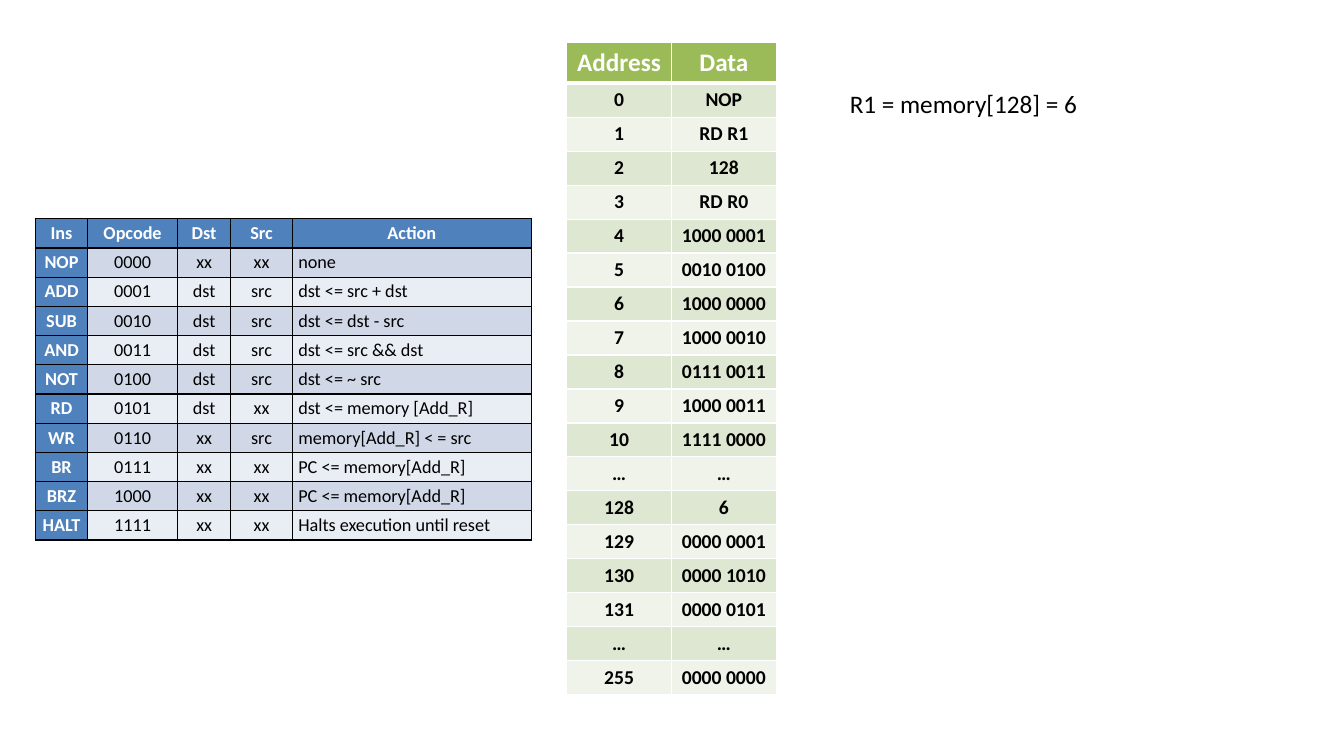
"""Build a slide with a processor's instruction set, memory contents and a register read."""
from dataclasses import dataclass

from lxml.etree import SubElement
from pptx import Presentation
from pptx.dml.color import RGBColor
from pptx.enum.text import MSO_ANCHOR as Anchor, PP_ALIGN as Align
from pptx.oxml.ns import qn
from pptx.slide import Slide
from pptx.table import _Cell as Cell
from pptx.text.text import TextFrame
from pptx.util import Inches, Pt

FONT = "Calibri"
WHITE = RGBColor(0xFF, 0xFF, 0xFF)
BLACK = RGBColor(0x00, 0x00, 0x00)
GREEN = RGBColor(0x9B, 0xBB, 0x59)
GREEN_BAND = RGBColor(0xDE, 0xE7, 0xD1)
GREEN_PALE = RGBColor(0xEF, 0xF3, 0xEA)
BLUE = RGBColor(0x4F, 0x81, 0xBD)
BLUE_BAND = RGBColor(0xD0, 0xD8, 0xE8)
BLUE_PALE = RGBColor(0xE9, 0xED, 0xF4)

MEMORY_ROWS = [
    ("Address", "Data"),
    ("0", "NOP"),
    ("1", "RD R1"),
    ("2", "128"),
    ("3", "RD R0"),
    ("4", "1000 0001"),
    ("5", "0010 0100"),
    ("6", "1000 0000"),
    ("7", "1000 0010"),
    ("8", "0111 0011"),
    ("9", "1000 0011"),
    ("10", "1111 0000"),
    ("…", "…"),
    ("128", "6"),
    ("129", "0000 0001"),
    ("130", "0000 1010"),
    ("131", "0000 0101"),
    ("…", "…"),
    ("255", "0000 0000"),
]
INSTRUCTION_ROWS = [
    ("Ins", "Opcode", "Dst", "Src", "Action"),
    ("NOP", "0000", "xx", "xx", "none"),
    ("ADD", "0001", "dst", "src", "dst <= src + dst"),
    ("SUB", "0010", "dst", "src", "dst <= dst - src"),
    ("AND", "0011", "dst", "src", "dst <= src && dst"),
    ("NOT", "0100", "dst", "src", "dst <= ~ src"),
    ("RD", "0101", "dst", "xx", "dst <= memory [Add_R]"),
    ("WR", "0110", "xx", "src", "memory[Add_R] < = src"),
    ("BR", "0111", "xx", "xx", "PC <= memory[Add_R]"),
    ("BRZ", "1000", "xx", "xx", "PC <= memory[Add_R]"),
    ("HALT", "1111", "xx", "xx", "Halts execution until reset"),
]


@dataclass(frozen=True)
class Grid:
    rows: list[tuple[str, ...]]
    left: float
    top: float
    height: float
    widths: tuple[float, ...]
    row_height: float
    header_fill: RGBColor
    bands: tuple[RGBColor, RGBColor]
    border: RGBColor
    header_size: float
    body_size: float
    header_rule: float = 1
    body_bold: bool = False
    header_column: bool = False
    left_column: int | None = None
    compact: bool = False


MEMORY = Grid(
    MEMORY_ROWS, 5.62, 0.42, 6.4, (1.04, 1.04), 0.26, GREEN, (GREEN_BAND, GREEN_PALE),
    WHITE, header_size=18, body_size=14, header_rule=3, body_bold=True,
)
INSTRUCTIONS = Grid(
    INSTRUCTION_ROWS, 0.35, 2.17, 3.17, (0.52, 0.89, 0.53, 0.61, 2.37), 0.29, BLUE,
    (BLUE_BAND, BLUE_PALE), BLACK, header_size=13, body_size=13,
    header_column=True, left_column=4, compact=True,
)


def write(frame: TextFrame, text: str, *, size: float, color: RGBColor = BLACK,
          bold: bool = False, align: Align = Align.LEFT) -> None:
    paragraph = frame.paragraphs[0]
    paragraph.alignment = align
    run = paragraph.add_run()
    run.text = text
    run.font.name = FONT
    run.font.size = Pt(size)
    run.font.bold = bold
    run.font.color.rgb = color


def draw_borders(cell: Cell, color: RGBColor, top: float, bottom: float) -> None:
    properties = cell._tc.get_or_add_tcPr()
    for side, width in (("L", 1), ("R", 1), ("T", top), ("B", bottom)):
        line = SubElement(properties, qn(f"a:ln{side}"), w=str(Pt(width)))
        SubElement(SubElement(line, qn("a:solidFill")), qn("a:srgbClr"), val=str(color))


def draw_grid(slide: Slide, grid: Grid) -> None:
    frame = slide.shapes.add_table(
        len(grid.rows), len(grid.widths), Inches(grid.left), Inches(grid.top),
        Inches(sum(grid.widths)), Inches(grid.height))
    table = frame.table
    for column, width in zip(table.columns, grid.widths):
        column.width = Inches(width)
    for row_index, values in enumerate(grid.rows):
        table.rows[row_index].height = Inches(grid.row_height)
        for column_index, value in enumerate(values):
            cell = table.cell(row_index, column_index)
            is_top = row_index == 0
            is_header = is_top or (grid.header_column and column_index == 0)
            draw_borders(cell, grid.border,
                         top=grid.header_rule if row_index == 1 else 1,
                         bottom=grid.header_rule if is_top else 1)
            cell.fill.solid()
            cell.fill.fore_color.rgb = (
                grid.header_fill if is_header else grid.bands[(row_index - 1) % 2])
            if grid.compact:
                cell.vertical_anchor = Anchor.MIDDLE
                cell.margin_left = cell.margin_right = Inches(0.06)
                cell.margin_top = cell.margin_bottom = Inches(0)
            is_left = column_index == grid.left_column and not is_top
            write(cell.text_frame, value,
                  size=grid.header_size if is_top else grid.body_size,
                  color=WHITE if is_header else BLACK,
                  bold=is_header or grid.body_bold,
                  align=Align.LEFT if is_left else Align.CENTER)
    frame.height = Inches(grid.height)


def main() -> None:
    deck = Presentation()
    deck.slide_width, deck.slide_height = Inches(13.33), Inches(7.5)
    slide = deck.slides.add_slide(deck.slide_layouts[6])
    for grid in (MEMORY, INSTRUCTIONS):
        draw_grid(slide, grid)
    register_note = slide.shapes.add_textbox(
        Inches(8.33), Inches(0.83), Inches(3.33), Inches(0.4)).text_frame
    register_note.word_wrap = True
    write(register_note, "R1 = memory[128] = 6", size=18)
    deck.save("out.pptx")


if __name__ == "__main__":
    main()
